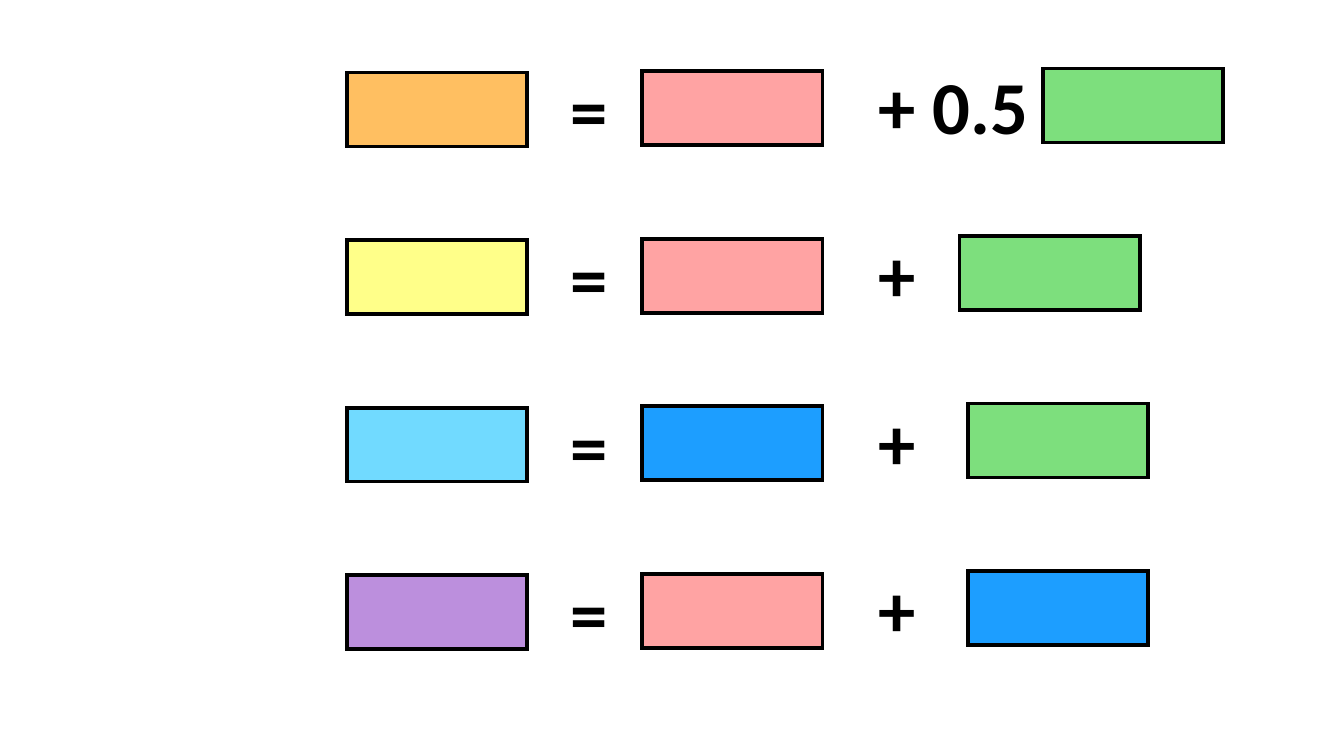
from lxml import etree
from pptx import Presentation
from pptx import util as u
from pptx.dml.color import RGBColor
from pptx.enum import shapes, text
from pptx.oxml import ns

COLORS = {
    "orange": "FFBF61", "yellow": "FFFF89", "sky": "71DAFF", "purple": "BC8FDD",
    "pink": "FFA3A3", "blue": "1D9EFF", "green": "7DDF7D", "ink": "000000",
}
WIDTH = 10
HEIGHT = WIDTH * 9 / 16
BLOCK_WIDTH, BLOCK_HEIGHT = 1.34, 0.55
SIGN_WIDTH, SIGN_HEIGHT = 0.47, 0.77
FIRST_ROW, LAST_ROW = 0.54, 4.28
RESULT_LEFT, EQUALS_LEFT, FIRST_LEFT, PLUS_LEFT = 2.58, 4.15, 4.78, 6.44

EQUATIONS = [
    ("orange", "pink", "+ 0.5", 1.31, "green", 7.76),
    ("yellow", "pink", "+", SIGN_WIDTH, "green", 7.14),
    ("sky", "blue", "+", SIGN_WIDTH, "green", 7.2),
    ("purple", "pink", "+", SIGN_WIDTH, "blue", 7.2),
]
ROW_PITCH = (LAST_ROW - FIRST_ROW) / (len(EQUATIONS) - 1)


def color(name):
    return RGBColor.from_string(COLORS[name])


def add_block(group, left, top, fill):
    block = group.shapes.add_shape(
        shapes.MSO_SHAPE.RECTANGLE,
        u.Inches(left), u.Inches(top), u.Inches(BLOCK_WIDTH), u.Inches(BLOCK_HEIGHT),
    )
    block.shadow.inherit = False
    block.fill.solid()
    block.fill.fore_color.rgb = color(fill)
    block.line.color.rgb = color("ink")
    block.line.width = u.Pt(2)
    outline = block.element.spPr.find(ns.qn("a:ln"))
    etree.SubElement(outline, ns.qn("a:miter")).set("lim", "800000")


def add_sign(group, left, top, width, words):
    box = group.shapes.add_textbox(
        u.Inches(left), u.Inches(top), u.Inches(width), u.Inches(SIGN_HEIGHT)
    )
    frame = box.text_frame
    frame.word_wrap = False
    frame.auto_size = text.MSO_AUTO_SIZE.SHAPE_TO_FIT_TEXT
    span = frame.paragraphs[0].add_run()
    span.text = words
    span.font.name = "Calibri"
    span.font.size = u.Pt(40)
    span.font.bold = True
    span.font.color.rgb = color("ink")


def add_equation(page, top, result, first, plus, plus_width, second, second_left):
    group = page.shapes.add_group_shape()
    add_block(group, RESULT_LEFT, top, result)
    add_sign(group, EQUALS_LEFT, top - 0.11, SIGN_WIDTH, "=")
    add_block(group, second_left, top - 0.03, second)
    add_block(group, FIRST_LEFT, top - 0.01, first)
    add_sign(group, PLUS_LEFT, top - 0.14, plus_width, plus)


def main():
    deck = Presentation()
    deck.slide_width, deck.slide_height = u.Inches(WIDTH), u.Inches(HEIGHT)
    page = deck.slides.add_slide(deck.slide_layouts[6])
    for row, equation in enumerate(EQUATIONS):
        add_equation(page, FIRST_ROW + row * ROW_PITCH, *equation)
    deck.save("out.pptx")


if __name__ == "__main__":
    main()
